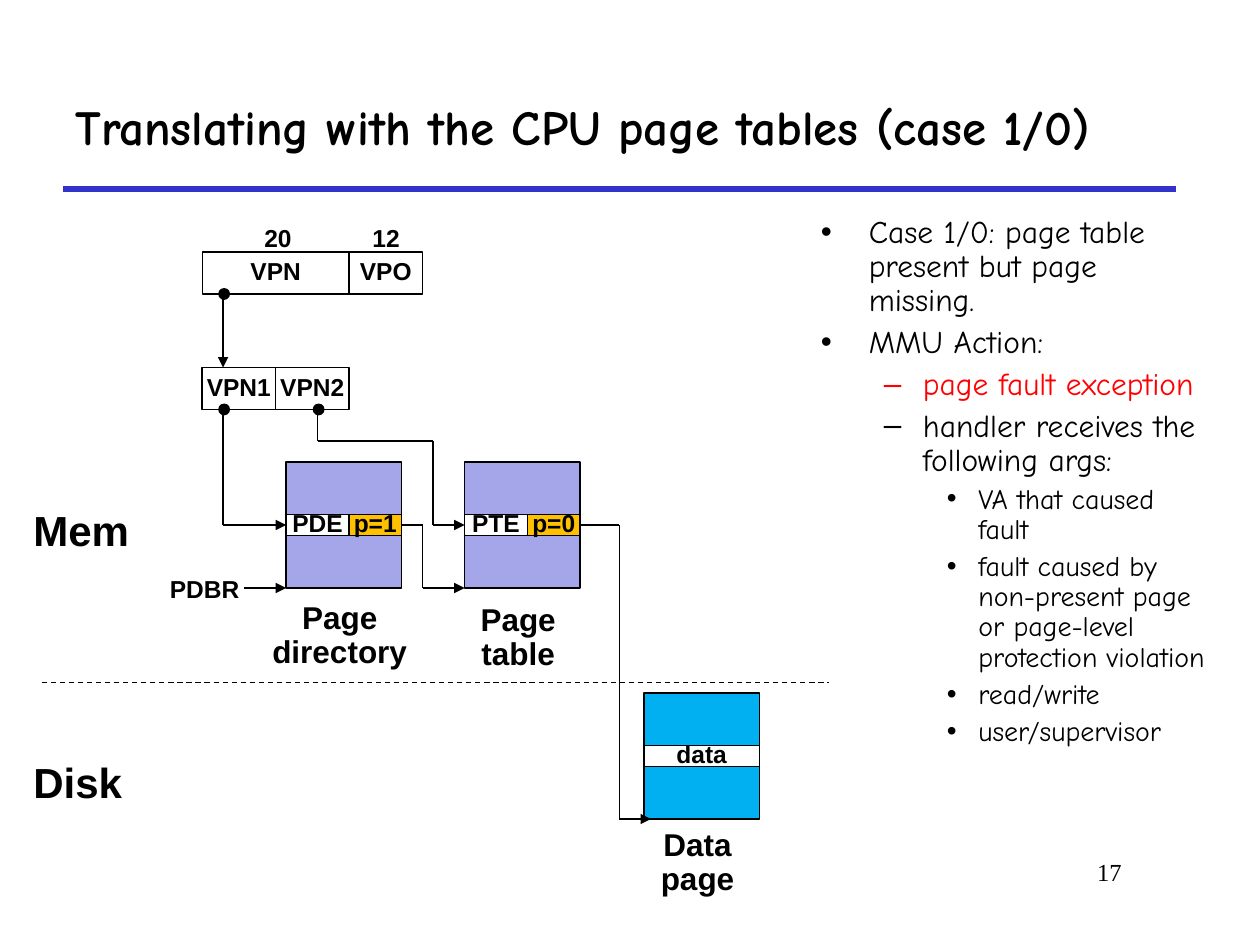
from itertools import pairwise

from lxml import etree
from pptx import Presentation
from pptx import util as u
from pptx.dml.color import RGBColor
from pptx.enum import dml, shapes, text
from pptx.oxml.ns import qn

BLACK = RGBColor(0x00, 0x00, 0x00)
WHITE = RGBColor(0xFF, 0xFF, 0xFF)
BLUE = RGBColor(0x33, 0x33, 0xCC)
RED = RGBColor(0xFF, 0x00, 0x00)
LILAC = RGBColor(0xA5, 0xA5, 0xE9)
AMBER = RGBColor(0xFF, 0xC0, 0x00)
SKY = RGBColor(0x00, 0xB0, 0xF0)

CELL = u.Inches(1) / 12  # the slide is a grid of 120 columns by 90 rows
LEFT, CENTER, RIGHT = text.PP_ALIGN.LEFT, text.PP_ALIGN.CENTER, text.PP_ALIGN.RIGHT


def grid(*cells):
    return [u.Emu(round(cell * CELL)) for cell in cells]


class Board:
    """Style and current slide; every length is in grid cells."""

    diagram_font, prose_font = "Arial", "Comic Neue"

    def __init__(self, slide):
        self.slide = slide

    def format(self, paragraph, size, font, color=BLACK, bold=False):
        for run in paragraph.runs:
            run.font.size, run.font.name, run.font.bold = u.Pt(size), font, bold
            run.font.color.rgb = color

    def caption(self, frame, words, size, align):
        frame.text = words
        line = frame.paragraphs[0]
        line.alignment, line.line_spacing = align, 0.9
        line.space_before = u.Pt(round(size * 0.375, 1))
        self.format(line, size, self.diagram_font, bold=True)

    def title(self, words, *place):
        title = self.slide.shapes.title
        title.left, title.top, title.width, title.height = grid(*place)
        frame = title.text_frame
        frame.text, frame.auto_size = words, text.MSO_AUTO_SIZE.NONE
        frame.vertical_anchor = text.MSO_ANCHOR.MIDDLE
        frame.paragraphs[0].alignment = LEFT
        self.format(frame.paragraphs[0], 28, self.prose_font, bold=True)

    def area(self, *place, wrap=True):
        frame = self.slide.shapes.add_textbox(*grid(*place)).text_frame
        frame.word_wrap = wrap
        return frame

    def label(self, words, *place, size=14, align=LEFT, wrap=False):
        self.caption(self.area(*place, wrap=wrap), words, size, align)

    def box(self, *place, fill=WHITE, words="", kind=shapes.MSO_SHAPE.RECTANGLE):
        box = self.slide.shapes.add_shape(kind, *grid(*place))
        box.shadow.inherit = False
        box.fill.solid()
        box.fill.fore_color.rgb = fill
        box.line.color.rgb, box.line.width = BLACK, u.Pt(0.75)
        if words:
            box.text_frame.word_wrap = False
            box.text_frame.vertical_anchor = text.MSO_ANCHOR.MIDDLE
            self.caption(box.text_frame, words, 14, CENTER)
        return box

    def dot(self, column, row):
        self.box(column - 0.4, row - 0.5, 1, 1, fill=BLACK, kind=shapes.MSO_SHAPE.OVAL)

    def page(self, column, row, fill, name, gap, entries):
        """A page 11 by 12 cells with a row of (words, width, fill) entries."""
        self.box(column, row, 11, 12, fill=fill)
        self.label(name, column - 3, row + 12 + gap, 16.2, 7.7,
                   size=18, align=CENTER, wrap=True)
        made = []
        for words, width, color in entries:
            made.append(self.box(column, row + 5, width, 2, fill=color, words=words))
            column += width
        return made

    def line(self, start, end, color=BLACK, width=0.75, arrow=False):
        line = self.slide.shapes.add_connector(
            shapes.MSO_CONNECTOR.STRAIGHT, *grid(*start, *end))
        line.line.color.rgb, line.line.width = color, u.Pt(width)
        if arrow:
            etree.SubElement(line.line._get_or_add_ln(), qn("a:tailEnd"), type="triangle")
        etree.SubElement(line._element.spPr, qn("a:effectLst"))
        return line

    def route(self, *points, source=None, target=None):
        """Straight legs through the points, with an arrowhead on the last."""
        legs = list(pairwise(points))
        lines = [self.line(*leg, arrow=leg is legs[-1]) for leg in legs]
        if source:
            lines[0].begin_connect(source, 3)
        if target:
            lines[-1].end_connect(target, 1)

    def bullets(self, items, *place):
        # level: text indent, hanging indent, mark, size, space before
        levels = [(0.38, 0.38, "•", 18, 4.5), (0.81, 0.31, "–", 18, 4.5),
                  (1.25, 0.25, "•", 16, 4)]
        frame = self.area(*place)
        for index, (level, words, color) in enumerate(items):
            item = frame.add_paragraph() if index else frame.paragraphs[0]
            indent, hanging, mark, size, before = levels[level]
            item.text, item.level, item.line_spacing = words, level, 0.9
            item.space_before = u.Pt(before)
            self.format(item, size, self.prose_font, color)
            props = item._p.get_or_add_pPr()
            props.set("marL", str(u.Inches(indent)))
            props.set("indent", str(-u.Inches(hanging)))
            tint = etree.SubElement(props, qn("a:buClr"))
            etree.SubElement(tint, qn("a:srgbClr"), val=str(color))
            etree.SubElement(props, qn("a:buFont"), typeface=self.diagram_font)
            etree.SubElement(props, qn("a:buChar"), char=mark)


def main():
    deck = Presentation()
    deck.slide_width, deck.slide_height = grid(120, 90)
    board = Board(deck.slides.add_slide(deck.slide_layouts[5]))

    # Title, rule and page number
    board.title("Translating with the CPU page tables (case 1/0)", 6, 6, 111, 12)
    board.line((6, 18), (112, 18), BLUE, 3)
    number = board.area(91, 81, 17, 6)
    number.text = "17"
    number.paragraphs[0].alignment = RIGHT
    board.format(number.paragraphs[0], 14, "Times New Roman")

    # Explanation
    board.bullets([
        (0, "Case 1/0: page table present but page missing.", BLACK),
        (0, "MMU Action:", BLACK),
        (1, "page fault exception", RED),
        (1, "handler receives the following args:", BLACK),
        (2, "VA that caused fault", BLACK),
        (2, "fault caused by non-present page or page-level protection violation", BLACK),
        (2, "read/write", BLACK),
        (2, "user/supervisor", BLACK),
    ], 77, 20, 39, 61)

    # Virtual address and its split page number
    for words, column, row, width in [("VPN", 19.25, 24, 14), ("VPO", 33.25, 24, 7),
                                      ("VPN1", 19.25, 35, 7), ("VPN2", 26.25, 35, 7)]:
        board.box(column, row, width, 4, words=words)
    board.label("20", 24, 21, 5, 3.7)
    board.label("12", 34.3, 21, 5, 3.7)

    # Pages in memory and on disk
    pde, present = board.page(27.25, 44, LILAC, "Page directory", 0.75,
                              [("PDE", 6, WHITE), ("p=1", 5, AMBER)])
    pte, missing = board.page(44.25, 44, LILAC, "Page table", 1,
                              [("PTE", 6, WHITE), ("p=0", 5, AMBER)])
    board.page(61.33, 66, SKY, "Data page", 0.35, [("data", 11, WHITE)])

    # Regions
    board.label("Mem", 2, 48, 12, 5.5, size=24)
    board.label("Disk", 2, 72, 12, 5.5, size=24)
    border = board.line((4, 65), (79, 65))
    border.line.dash_style = dml.MSO_LINE.DASH
    board.label("PDBR", 15, 54.35, 9, 3.7)

    # Lookup paths
    board.route((21.25, 28), (21.25, 35))
    board.route((21.25, 39), (21.25, 50), (27.25, 50), target=pde)
    board.route((30.25, 39), (30.25, 42), (41.25, 42), (41.25, 50), (44.25, 50),
                target=pte)
    board.route((23.25, 56), (27.25, 56))
    board.route((38.25, 50), (40.25, 50), (40.25, 56), (44.25, 56), source=present)
    board.route((55.25, 50), (59, 50), (59, 78), (62, 78), source=missing)
    for column, row in [(21.25, 28), (21.25, 39), (30.25, 39)]:
        board.dot(column, row)

    deck.save("out.pptx")


if __name__ == "__main__":
    main()
